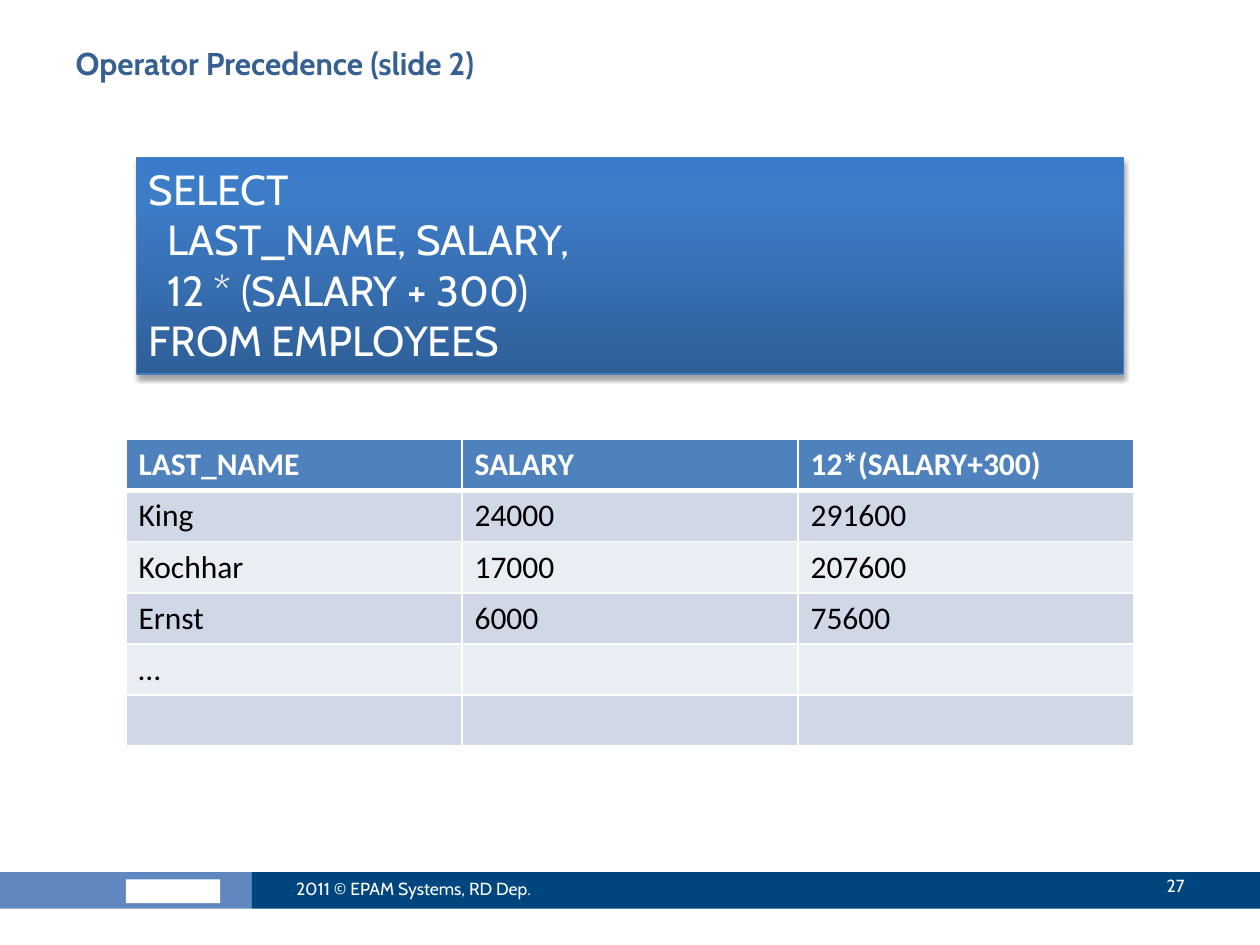
from lxml import etree
from pptx import Presentation
from pptx.dml.color import RGBColor
from pptx.enum.shapes import MSO_SHAPE
from pptx.enum.text import MSO_ANCHOR, MSO_AUTO_SIZE, PP_ALIGN
from pptx.oxml.ns import qn
from pptx.util import Cm, Pt
from copy import deepcopy

RECTANGLE = MSO_SHAPE.RECTANGLE
TOP, MIDDLE = MSO_ANCHOR.TOP, MSO_ANCHOR.MIDDLE
LEFT, RIGHT = PP_ALIGN.LEFT, PP_ALIGN.RIGHT
NO_AUTOFIT = MSO_AUTO_SIZE.NONE
FIT_SHAPE = MSO_AUTO_SIZE.SHAPE_TO_FIT_TEXT

HEADING_FONT, TABLE_FONT = "Cabin", "Calibri"
WHITE, BLACK = "FFFFFF", "000000"
HEADER_FILL = "4F81BD"
BAND_FILLS = ["D0D8E8", "E9EDF4"]
GRADIENT = [(0, "2F5F99"), (0.8, "3D7CC7"), (1, "3A7CCB")]

QUERY = [
    "SELECT",
    "  LAST_NAME, SALARY,",
    "  12 * (SALARY + 300)",
    "FROM EMPLOYEES",
]
ROWS = [
    ["LAST_NAME", "SALARY", "12*(SALARY+300)"],
    ["King", "24000", "291600"],
    ["Kochhar", "17000", "207600"],
    ["Ernst", "6000", "75600"],
    ["…", "", ""],
    ["", "", ""],
]


def color(value):
    return RGBColor.from_string(value)


def write(paragraph, text, size, font, value, bold=False, align=LEFT):
    paragraph.alignment = align
    run = paragraph.add_run()
    run.text = text
    run.font.size = Pt(size)
    run.font.name = font
    run.font.bold = bold
    run.font.color.rgb = color(value)


def add_title(slide, text):
    title = slide.shapes.title
    title.left, title.top = Cm(1.27), Cm(0.76)
    title.width, title.height = Cm(22.86), Cm(1.98)
    frame = title.text_frame
    frame.auto_size = NO_AUTOFIT
    frame.vertical_anchor = TOP
    write(frame.paragraphs[0], text, 18, HEADING_FONT, "376092", bold=True)


def add_rectangle(slide, left, top, width, height, fill=None):
    shape = slide.shapes.add_shape(
        RECTANGLE, Cm(left), Cm(top), Cm(width), Cm(height))
    shape.shadow.inherit = False
    shape.line.fill.background()
    if fill:
        shape.fill.solid()
        shape.fill.fore_color.rgb = color(fill)
    return shape


def add_label(slide, left, top, width, text, align=LEFT):
    box = slide.shapes.add_textbox(Cm(left), Cm(top), Cm(width), Cm(1.02))
    frame = box.text_frame
    frame.word_wrap = True
    frame.vertical_anchor = MIDDLE
    write(frame.paragraphs[0], text, 10, HEADING_FONT, WHITE, align=align)


def apply_gradient(shape):
    shape.fill.gradient()
    shape.fill.gradient_angle = 90
    stop_list = shape._element.spPr.find(qn("a:gradFill")).find(qn("a:gsLst"))
    stop_list.append(deepcopy(stop_list[-1]))
    for stop, (position, value) in zip(shape.fill.gradient_stops, GRADIENT):
        stop.position = position
        stop.color.rgb = color(value)


def apply_shadow(shape):
    effects = shape._element.spPr.find(qn("a:effectLst"))
    shadow = etree.SubElement(
        effects, qn("a:outerShdw"), blurRad=str(Pt(3.1)), dist=str(Pt(1.8)),
        dir="5400000", rotWithShape="0")
    shade = etree.SubElement(shadow, qn("a:srgbClr"), val=BLACK)
    etree.SubElement(shade, qn("a:alpha"), val="35000")


def add_query(slide, lines):
    shape = add_rectangle(slide, 2.75, 3.17, 19.9, 4.37)
    apply_gradient(shape)
    apply_shadow(shape)
    shape.line.color.rgb = color("4B7EBC")
    shape.line.width = Pt(0.75)
    frame = shape.text_frame
    frame.word_wrap = True
    frame.auto_size = FIT_SHAPE
    frame.vertical_anchor = TOP
    for index, text in enumerate(lines):
        paragraph = frame.add_paragraph() if index else frame.paragraphs[0]
        write(paragraph, text, 24, HEADING_FONT, WHITE)


def set_borders(cell, top, bottom):
    properties = cell._tc.get_or_add_tcPr()
    for side, width in [("L", 1), ("R", 1), ("T", top), ("B", bottom)]:
        line = etree.SubElement(
            properties, qn(f"a:ln{side}"), w=str(Pt(width)))
        fill = etree.SubElement(line, qn("a:solidFill"))
        etree.SubElement(fill, qn("a:srgbClr"), val=WHITE)


def add_result_table(slide, rows):
    table = slide.shapes.add_table(
        len(rows), len(rows[0]), Cm(2.54), Cm(8.86), Cm(20.32), Cm(6.18)).table
    for row in table.rows:
        row.height = Cm(1.03)
    for row_index, values in enumerate(rows):
        header = row_index == 0
        fill = HEADER_FILL if header else BAND_FILLS[(row_index - 1) % 2]
        for column_index, text in enumerate(values):
            cell = table.cell(row_index, column_index)
            set_borders(cell, 3 if row_index == 1 else 1, 3 if header else 1)
            cell.fill.solid()
            cell.fill.fore_color.rgb = color(fill)
            if text:
                write(cell.text_frame.paragraphs[0], text, 18, TABLE_FONT,
                      WHITE if header else BLACK, bold=header)


def add_footer(slide):
    add_rectangle(slide, 0, 17.58, 5.08, 0.74, "6087BF")
    add_rectangle(slide, 2.54, 17.73, 1.9, 0.48, WHITE)
    add_rectangle(slide, 5.08, 17.58, 20.32, 0.74, "00467E")
    add_label(slide, 5.72, 17.4, 6.78, "2011 © EPAM Systems, RD Dep.")
    add_label(slide, 21.39, 17.35, 2.74, "27", RIGHT)


def main():
    presentation = Presentation()
    presentation.slide_width = Cm(25.4)
    presentation.slide_height = Cm(19.05)
    slide = presentation.slides.add_slide(presentation.slide_layouts[5])
    add_title(slide, "Operator Precedence (slide 2)")
    add_footer(slide)
    add_result_table(slide, ROWS)
    add_query(slide, QUERY)
    presentation.save("out.pptx")


if __name__ == "__main__":
    main()
